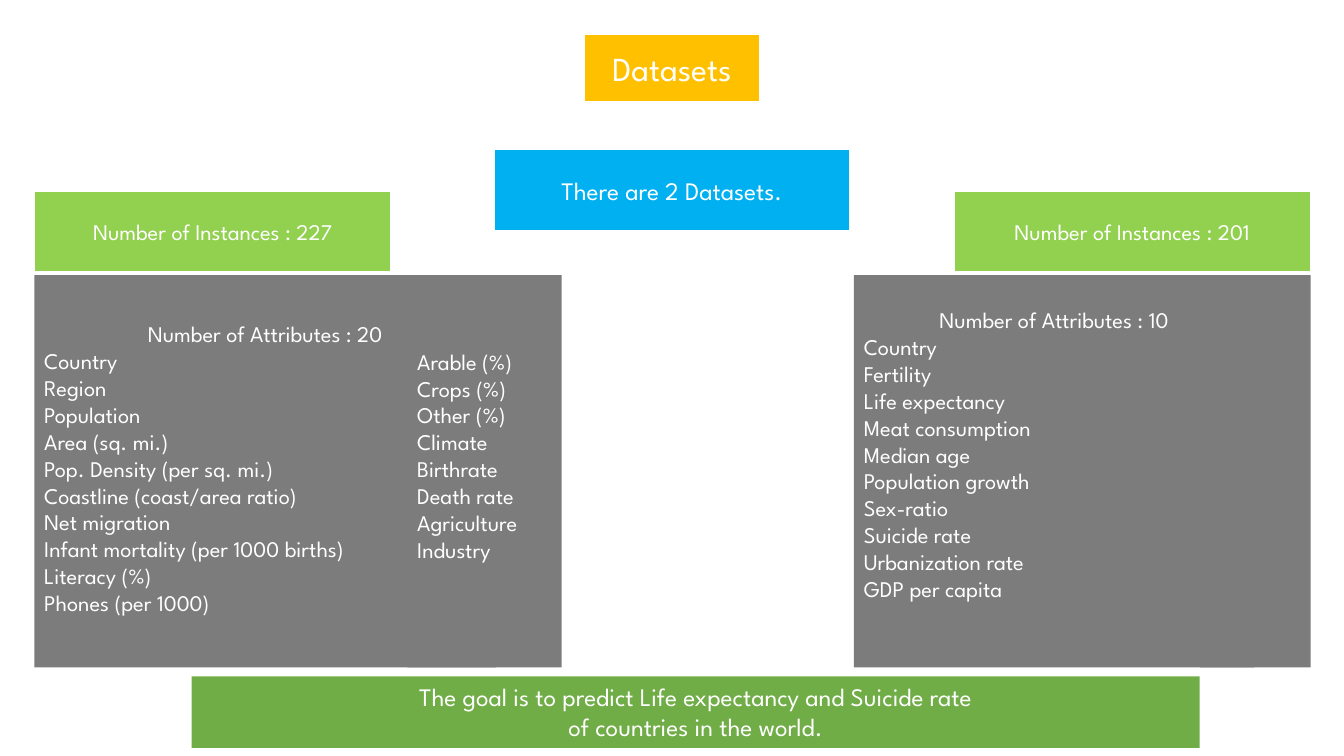
"""Build the Datasets slide: two attribute lists, their counts and the goal."""
from pptx import Presentation
from pptx.dml.color import RGBColor
from pptx.enum.shapes import MSO_SHAPE
from pptx.enum.text import MSO_ANCHOR, PP_ALIGN
from pptx.util import Inches, Pt

RECTANGLE = MSO_SHAPE.RECTANGLE
LEFT, CENTER = PP_ALIGN.LEFT, PP_ALIGN.CENTER
TOP, MIDDLE = MSO_ANCHOR.TOP, MSO_ANCHOR.MIDDLE

FONT = "League Spartan"
COLORS = {"white": "FFFFFF", "amber": "FFC000", "lime": "92D050",
          "sky": "00B0F0", "gray": "7C7C7C", "green": "70AD47"}

HEADING = "Datasets"
SUMMARY = "There are 2 Datasets."
GOAL = ["The goal is to predict Life expectancy and Suicide rate",
        "of countries in the world."]
COUNTRIES = {
    "instances": "Number of Instances : 227",
    "heading": "Number of Attributes : 20",
    "first": ["Country", "Region", "Population", "Area (sq. mi.)",
              "Pop. Density (per sq. mi.)", "Coastline (coast/area ratio)",
              "Net migration", "Infant mortality (per 1000 births)",
              "Literacy (%)", "Phones (per 1000)"],
    "second": ["Arable (%)", "Crops (%)", "Other (%)", "Climate", "Birthrate",
               "Death rate", "Agriculture", "Industry"],
}
SUICIDES = {
    "instances": "Number of Instances : 201",
    "heading": "Number of Attributes : 10",
    "first": ["Country", "Fertility", "Life expectancy", "Meat consumption",
              "Median age", "Population growth", "Sex-ratio", "Suicide rate",
              "Urbanization rate", "GDP per capita"],
    "second": [],
}

WIDTH, HEIGHT = 13.33, 7.5
MARGIN = 0.34
RIGHT = WIDTH - MARGIN + 0.01
TAG_WIDTH, TAG_HEIGHT, TAG_TOP = 3.54, 0.81, 1.89
PANEL_TOP, PANEL_HEIGHT = 2.73, 3.89
LINE_HEIGHT = 0.27

presentation = Presentation()
presentation.slide_width = Inches(WIDTH)
presentation.slide_height = Inches(HEIGHT)
slide = presentation.slides.add_slide(presentation.slide_layouts[6])


def add_block(text, left, top, width, height, fill, size=16, align=CENTER,
              anchor=MIDDLE, inset=0.05, heading=None, outlined=False):
    """Draw a filled rectangle holding lines of text under an optional heading."""
    block = slide.shapes.add_shape(RECTANGLE, Inches(left), Inches(top),
                                   Inches(width), Inches(height))
    block.shadow.inherit = False
    block.fill.solid()
    block.fill.fore_color.rgb = RGBColor.from_string(COLORS[fill])
    if outlined:
        block.line.color.rgb = RGBColor.from_string(COLORS["white"])
        block.line.width = Pt(1.5)
    else:
        block.line.fill.background()
    frame = block.text_frame
    frame.word_wrap = True
    frame.vertical_anchor = anchor
    frame.margin_top = Inches(inset)
    lines = [(heading, CENTER)] if heading else []
    lines += [(line, align) for line in text]
    for index, (line, alignment) in enumerate(lines):
        paragraph = frame.add_paragraph() if index else frame.paragraphs[0]
        paragraph.text = line
        paragraph.alignment = alignment
        paragraph.font.name = FONT
        paragraph.font.size = Pt(size)
        paragraph.font.color.rgb = RGBColor.from_string(COLORS["white"])


def add_dataset(dataset, tag_left, list_left, list_width, side_left, side_width, inset):
    """Draw the instance count and the two attribute columns of one dataset."""
    add_block([dataset["instances"]], tag_left, TAG_TOP, TAG_WIDTH, TAG_HEIGHT,
              "lime", outlined=True)
    add_block(dataset["first"], list_left, PANEL_TOP, list_width, PANEL_HEIGHT,
              "gray", align=LEFT, anchor=TOP, inset=inset,
              heading=dataset["heading"])
    add_block(dataset["second"], side_left, PANEL_TOP, side_width, PANEL_HEIGHT,
              "gray", align=LEFT, anchor=TOP, inset=inset + LINE_HEIGHT)


add_block([HEADING], (WIDTH - 1.74) / 2, 0.34, 1.74, 0.67, "amber", size=24,
          outlined=True)
add_block([SUMMARY], (WIDTH - TAG_WIDTH) / 2, 1.48, TAG_WIDTH, TAG_HEIGHT, "sky",
          size=18, outlined=True)
add_dataset(COUNTRIES, MARGIN, MARGIN, 4.58, 4.04, 1.53, 0.45)
add_dataset(SUICIDES, RIGHT - TAG_WIDTH, 8.47, 3.97, RIGHT - 1.1, 1.1, 0.31)
add_block(GOAL, 1.9, 6.71, 10, 0.71, "green", size=18, anchor=TOP)

presentation.save("out.pptx")
